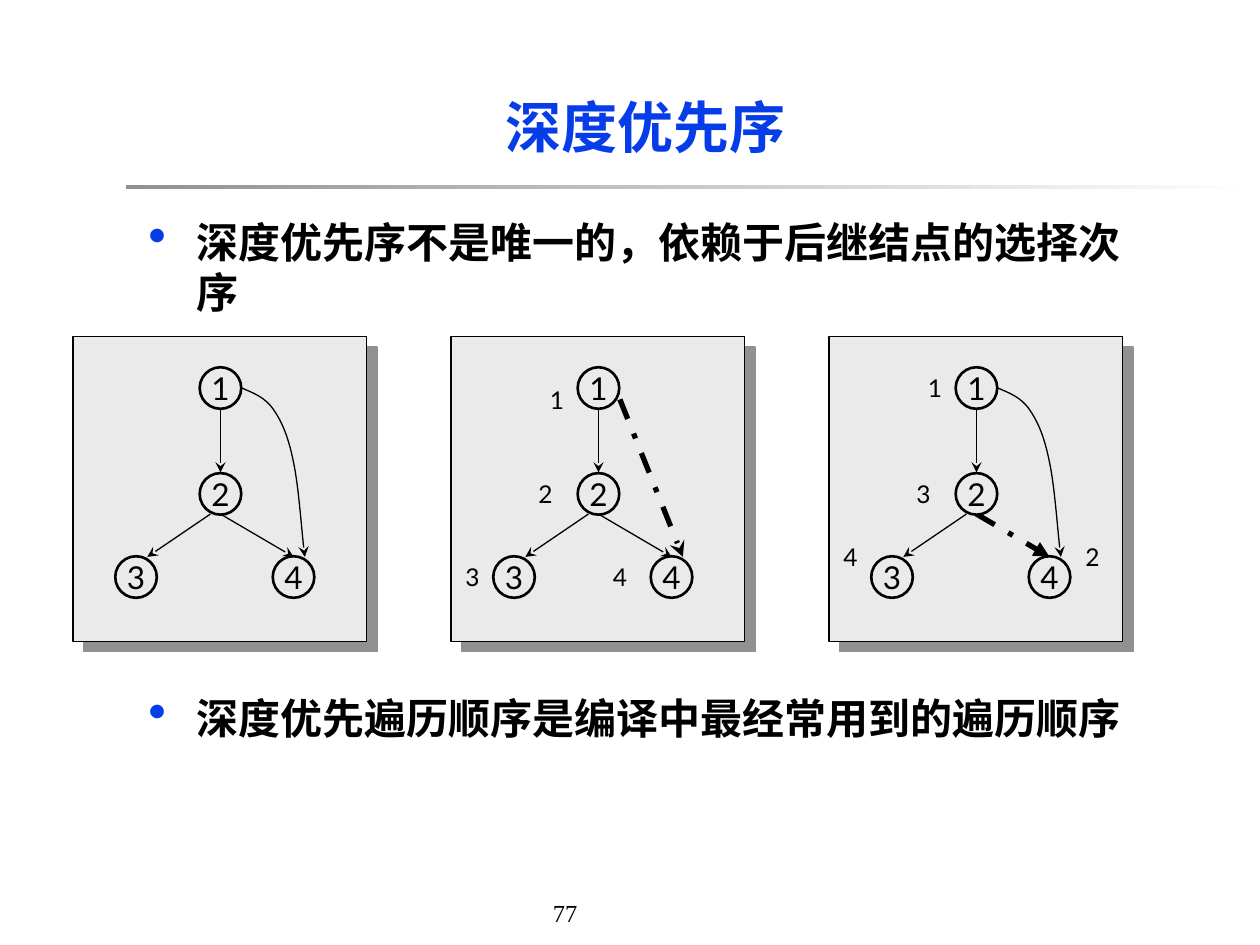
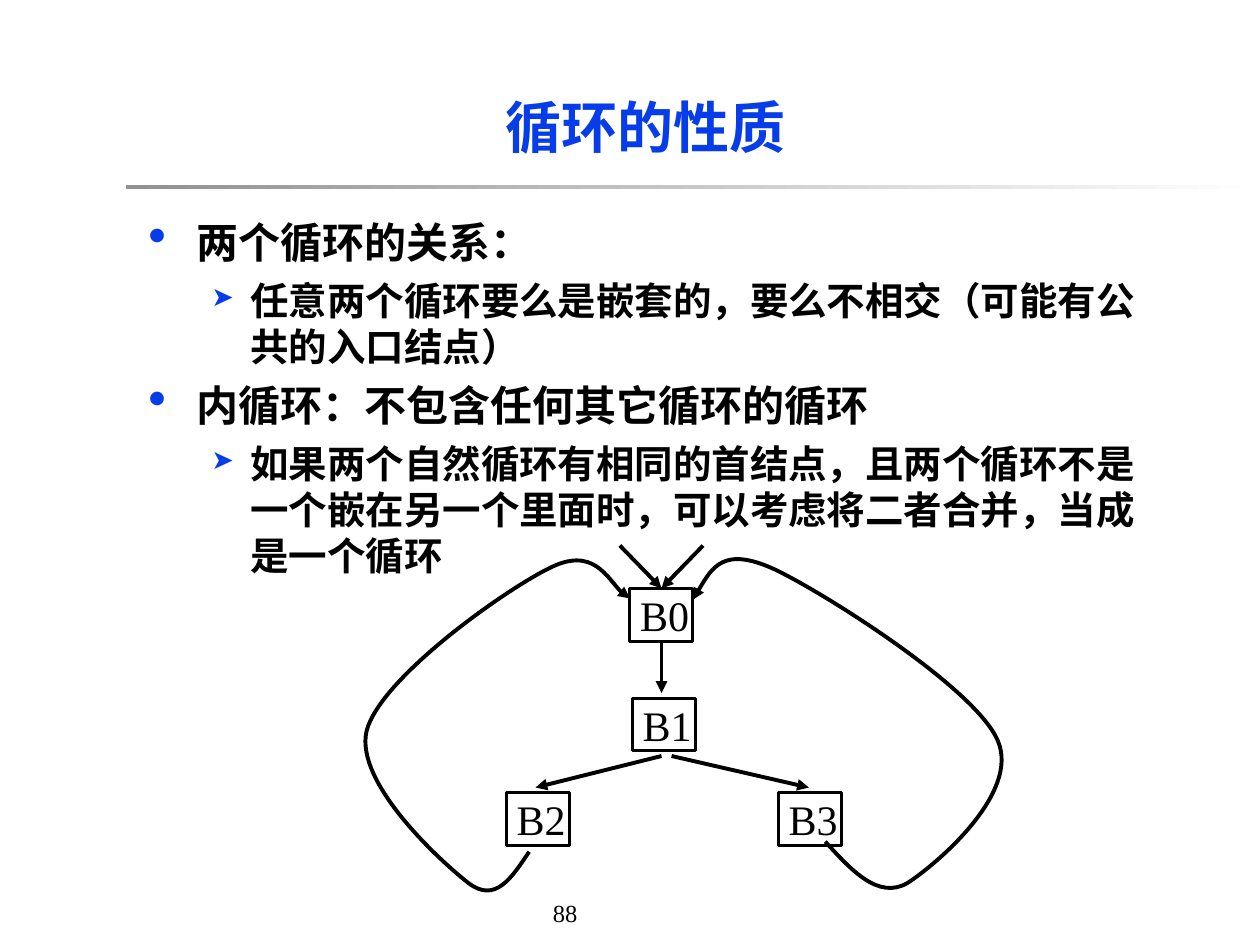
from dataclasses import dataclass

from lxml.etree import SubElement
from pptx import Presentation
from pptx.dml.color import RGBColor
from pptx.enum.dml import MSO_LINE
from pptx.enum.shapes import MSO_CONNECTOR, MSO_SHAPE
from pptx.enum.text import MSO_ANCHOR, PP_ALIGN
from pptx.oxml.ns import qn
from pptx.util import Inches, Pt


@dataclass(frozen=True)
class Theme:
    accent: str = "063DE8"
    ink: str = "000000"
    panel: str = "EAEAEA"
    gray: str = "919191"
    paper: str = "FFFFFF"
    serif: str = "Times New Roman"
    sans: str = "Lato"
    title_size: float = 32
    body_size: float = 24
    sub_size: float = 22
    node_size: float = 18
    small_size: float = 14


THEME = Theme()

# level: (left margin, hanging indent, space before, bullet, bullet percent, text size)
BULLET_LEVELS = {
    0: (0.38, 0.38, 6, "•", 125, THEME.body_size),
    1: (0.81, 0.31, 5.5, "➤", 70, THEME.sub_size),
}

PANEL_LEFT, PANEL_STEP = 0.58, 3
NODE_DIAMETER = 0.33
NODE_CENTRES = {"1": (1.75, 3.08), "2": (1.75, 3.92), "3": (1.08, 4.58), "4": (2.33, 4.58)}
EDGES = {
    "2-3": ((1.67, 4.08), (1.17, 4.42)),
    "1-2": ((1.75, 3.25), (1.75, 3.75)),
    "2-4": ((1.75, 4.08), (2.33, 4.42)),
    "1-4": ((1.92, 3.17), (2.42, 4.42)),
}
CURVE_1_4 = [(1.92, 3.08), (2.01, 3.12), (2.1, 3.15), (2.17, 3.25), (2.24, 3.35),
             (2.29, 3.47), (2.33, 3.67), (2.37, 3.86), (2.4, 4.29), (2.42, 4.42)]

# per panel: dashed edge, its arrowhead, visit numbers with their centres
TRAVERSALS = [
    (None, None, {}),
    ("1-4", "stealth", {"1": (1.42, 3.17), "2": (1.33, 3.92), "3": (0.75, 4.58), "4": (1.92, 4.58)}),
    ("2-4", "triangle", {"1": (1.42, 3.08), "2": (2.67, 4.42), "3": (1.33, 3.92), "4": (0.75, 4.42)}),
]

BLOCKS = {"B0": (5, 4.67), "B1": (5.02, 5.54), "B2": (4.02, 6.29), "B3": (6.18, 6.29)}
LOOP_LEFT = [(4.2, 6.76), (4.06, 6.97), (3.93, 7.17), (3.72, 7.01), (3.5, 6.84),
             (2.81, 6.21), (2.91, 5.8), (3.02, 5.38), (4.01, 4.68), (4.36, 4.51),
             (4.71, 4.33), (4.89, 4.71), (5, 4.75)]
LOOP_RIGHT = [(6.55, 6.68), (6.76, 6.91), (6.97, 7.14), (7.2, 7.01), (7.42, 6.87),
              (8.1, 6.3), (7.92, 5.88), (7.75, 5.47), (6.55, 4.71), (6.15, 4.52),
              (5.74, 4.33), (5.62, 4.55), (5.5, 4.76)]


def color(code):
    return RGBColor.from_string(code)


def shifted(points, dx):
    return [(x + dx, y) for x, y in points]


def write(para, text, *, size, font=THEME.serif, ink=THEME.ink, bold=False, align=PP_ALIGN.LEFT):
    para.alignment = align
    span = para.add_run()
    span.text = text
    span.font.size = Pt(size)
    span.font.name = font
    span.font.bold = bold
    span.font.color.rgb = color(ink)
    east_asian = SubElement(span.font._element, qn("a:ea"))
    east_asian.set("typeface", THEME.sans)


def add_box(slide, left, top, width, height, *, anchor=MSO_ANCHOR.TOP, wrap=True):
    box = slide.shapes.add_textbox(Inches(left), Inches(top), Inches(width), Inches(height))
    box.text_frame.word_wrap = wrap
    box.text_frame.vertical_anchor = anchor
    return box


def add_figure(slide, kind, left, top, width, height, *, fill=None, line_width=None):
    """Add a preset shape without shadow; no fill or outline unless given."""
    shape = slide.shapes.add_shape(kind, Inches(left), Inches(top), Inches(width), Inches(height))
    shape.shadow.inherit = False
    if fill:
        shape.fill.solid()
        shape.fill.fore_color.rgb = color(fill)
    else:
        shape.fill.background()
    if line_width:
        shape.line.color.rgb = color(THEME.ink)
        shape.line.width = Pt(line_width)
    else:
        shape.line.fill.background()
    return shape


def style_arrow(arrow, width, head, dashed=False):
    arrow.line.color.rgb = color(THEME.ink)
    arrow.line.width = Pt(width)
    if dashed:
        arrow.line.dash_style = MSO_LINE.DASH_DOT
    SubElement(arrow.line._get_or_add_ln(), qn("a:tailEnd")).set("type", head)


def add_arrow(slide, start, end, *, width, head, dashed=False):
    ends = [Inches(value) for value in (*start, *end)]
    arrow = slide.shapes.add_connector(MSO_CONNECTOR.STRAIGHT, *ends)
    style_arrow(arrow, width, head, dashed)
    SubElement(arrow._element.spPr, qn("a:effectLst"))
    return arrow


def add_curve(slide, points, *, width, head):
    """Draw a Bezier chain: a start point, then two controls and an end per segment."""
    start, *rest = [(Inches(x), Inches(y)) for x, y in points]
    builder = slide.shapes.build_freeform(*start)
    builder.add_line_segments(rest, close=False)
    curve = builder.convert_to_shape()
    curve.shadow.inherit = False
    curve.fill.background()
    outline = curve._element.find(".//" + qn("a:path"))
    steps = outline.findall(qn("a:lnTo"))
    for first in range(0, len(steps), 3):
        bezier = SubElement(outline, qn("a:cubicBezTo"))
        for step in steps[first:first + 3]:
            bezier.append(step[0])
            outline.remove(step)
    style_arrow(curve, width, head)


def add_shadow(shape):
    shadow = SubElement(shape._element.spPr.find(qn("a:effectLst")), qn("a:outerShdw"))
    for name, value in {"dist": Pt(8.5), "dir": 45 * 60000, "algn": "ctr", "rotWithShape": 0}.items():
        shadow.set(name, str(value))
    SubElement(shadow, qn("a:srgbClr")).set("val", THEME.gray)


def add_bullet(para, text, level, space_before=None):
    margin, hanging, gap, mark, percent, size = BULLET_LEVELS[level]
    para.level = level
    props = para._p.get_or_add_pPr()
    props.set("marL", str(Inches(margin)))
    props.set("indent", str(-Inches(hanging)))
    SubElement(SubElement(props, qn("a:buClr")), qn("a:srgbClr")).set("val", THEME.accent)
    SubElement(props, qn("a:buSzPct")).set("val", str(percent * 1000))
    SubElement(props, qn("a:buChar")).set("char", mark)
    para.space_before = Pt(space_before or gap)
    write(para, text, size=size, bold=True)


def add_body(slide, items):
    """Fill the body with (text, level) or (text, level, space before) items."""
    frame = add_box(slide, 1.08, 1.67, 8.08, 5.17).text_frame
    for index, item in enumerate(items):
        para = frame.add_paragraph() if index else frame.paragraphs[0]
        add_bullet(para, *item)


def add_slide(deck, title, number):
    """Start a slide with the shared page number, fading rule and title."""
    slide = deck.slides.add_slide(deck.slide_layouts[6])
    page = add_box(slide, 4.29, 7.08, 1.02, 0.33, wrap=False)
    write(page.text_frame.paragraphs[0], number, size=THEME.small_size)
    rule = add_figure(slide, MSO_SHAPE.RECTANGLE, 1, 1.47, 9, 0.03)
    rule.fill.gradient()
    rule.fill.gradient_angle = 0
    for stop, shade, position in zip(rule.fill.gradient_stops, (THEME.gray, THEME.paper), (0, 1)):
        stop.color.rgb = color(shade)
        stop.position = position
    heading = add_box(slide, 1, 0.5, 8.25, 1, anchor=MSO_ANCHOR.MIDDLE)
    write(heading.text_frame.paragraphs[0], title, size=THEME.title_size,
          ink=THEME.accent, bold=True, align=PP_ALIGN.CENTER)
    return slide


def square_at(centre):
    x, y = centre
    half = NODE_DIAMETER / 2
    return x - half, y - half, NODE_DIAMETER, NODE_DIAMETER


def add_node(slide, label, centre):
    node = add_figure(slide, MSO_SHAPE.OVAL, *square_at(centre), fill=THEME.panel, line_width=1.5)
    node.text_frame.word_wrap = False
    node.text_frame.vertical_anchor = MSO_ANCHOR.MIDDLE
    write(node.text_frame.paragraphs[0], label, size=THEME.node_size,
          font=THEME.sans, align=PP_ALIGN.CENTER)


def add_visit_number(slide, label, centre):
    box = add_box(slide, *square_at(centre), anchor=MSO_ANCHOR.MIDDLE, wrap=False)
    write(box.text_frame.paragraphs[0], label, size=THEME.small_size,
          font=THEME.sans, align=PP_ALIGN.CENTER)


def add_traversal(slide, dx, dashed_edge, dashed_head, visits):
    panel = add_figure(slide, MSO_SHAPE.RECTANGLE, PANEL_LEFT + dx, 2.67, 2.33, 2.42,
                       fill=THEME.panel, line_width=0.75)
    add_shadow(panel)
    for name, ends in EDGES.items():
        if name == dashed_edge:
            add_arrow(slide, *shifted(ends, dx), width=3, head=dashed_head, dashed=True)
        elif name == "1-4":
            add_curve(slide, shifted(CURVE_1_4, dx), width=0.75, head="stealth")
        else:
            add_arrow(slide, *shifted(ends, dx), width=0.75, head="stealth")
    for label, (x, y) in NODE_CENTRES.items():
        add_node(slide, label, (x + dx, y))
    for label, (x, y) in visits.items():
        add_visit_number(slide, label, (x + dx, y))


def add_block(slide, label, left, top):
    block = add_figure(slide, MSO_SHAPE.RECTANGLE, left, top, 0.5, 0.42, line_width=1.75)
    frame = block.text_frame
    frame.word_wrap = False
    frame.vertical_anchor = MSO_ANCHOR.TOP
    frame.margin_left, frame.margin_top = Inches(0.08), Inches(0.01)
    frame.margin_right = frame.margin_bottom = 0
    write(frame.paragraphs[0], label, size=THEME.body_size)
    return block


def add_flow_graph(slide):
    blocks = {label: add_block(slide, label, *corner) for label, corner in BLOCKS.items()}
    style = {"width": 2.25, "head": "triangle"}
    add_arrow(slide, (5.25, 5.08), (5.25, 5.5), **style).begin_connect(blocks["B0"], 2)
    add_arrow(slide, (5.25, 6), (4.25, 6.25), **style)
    add_arrow(slide, (5.33, 6), (6.42, 6.25), **style)
    for entry_x in (4.92, 5.58):
        add_arrow(slide, (entry_x, 4.33), (5.25, 4.67), **style).end_connect(blocks["B0"], 0)
    for loop in (LOOP_LEFT, LOOP_RIGHT):
        add_curve(slide, loop, **style)


def main():
    deck = Presentation()
    deck.slide_width, deck.slide_height = Inches(10), Inches(7.5)

    order = add_slide(deck, "深度优先序", "77")
    add_body(order, [
        ("深度优先序不是唯一的，依赖于后继结点的选择次序", 0),
        ("深度优先遍历顺序是编译中最经常用到的遍历顺序", 0, 214.5),
    ])
    for index, traversal in enumerate(TRAVERSALS):
        add_traversal(order, index * PANEL_STEP, *traversal)

    loops = add_slide(deck, "循环的性质", "88")
    add_body(loops, [
        ("两个循环的关系：", 0),
        ("任意两个循环要么是嵌套的，要么不相交（可能有公共的入口结点）", 1),
        ("内循环：不包含任何其它循环的循环", 0),
        ("如果两个自然循环有相同的首结点，且两个循环不是一个嵌在另一个里面时，"
         "可以考虑将二者合并，当成是一个循环", 1),
    ])
    add_flow_graph(loops)

    deck.save("out.pptx")


if __name__ == "__main__":
    main()
